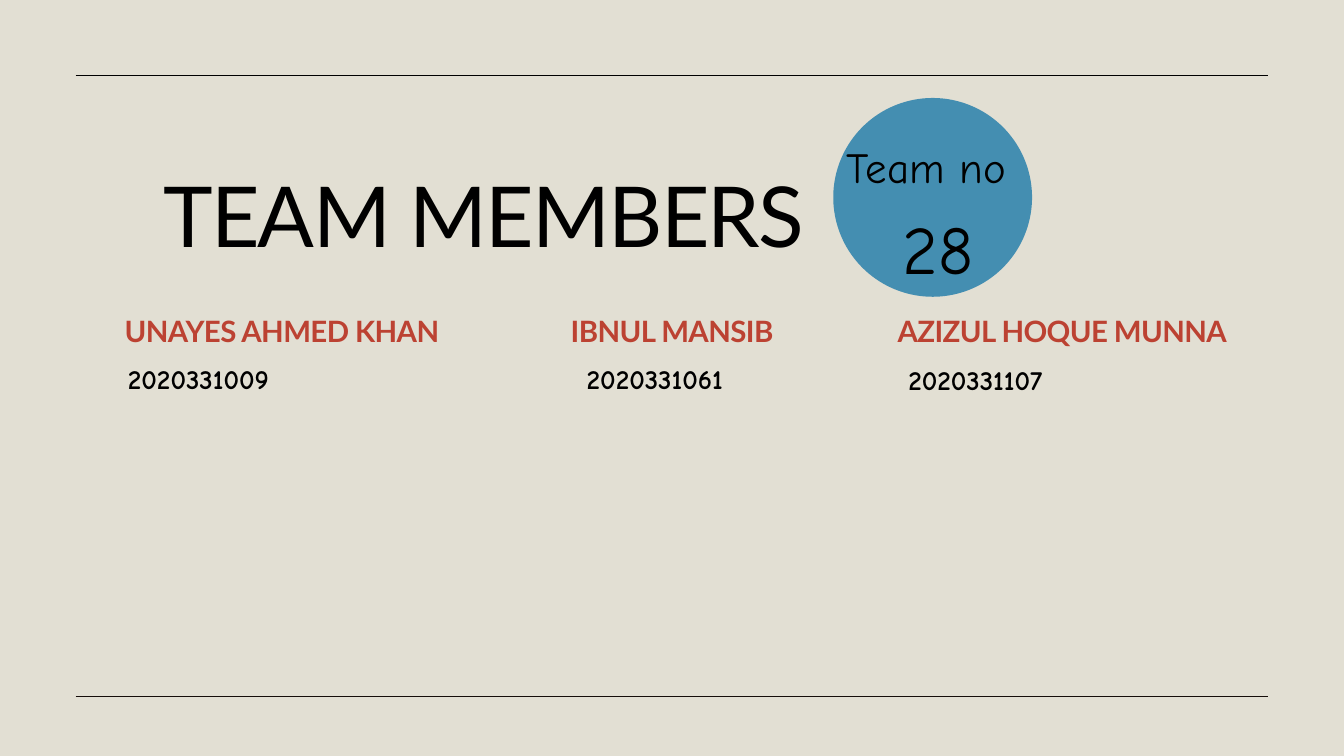
from pptx import Presentation
from pptx.dml.color import RGBColor
from pptx.enum import shapes, text
from pptx.oxml import ns
from pptx.util import Pt
from lxml import etree

SAND = RGBColor(0xE2, 0xDF, 0xD3)
BLACK = RGBColor(0, 0, 0)
BROWN = RGBColor(0x15, 0x0D, 0x0A)
BLUE = RGBColor(0x44, 0x8E, 0xB1)
RED = RGBColor(0xBC, 0x42, 0x32)
WIDE, HIGH, EDGE = 1440, 810, 81

deck = Presentation()
deck.slide_width, deck.slide_height = Pt(WIDE), Pt(HIGH)
slide = deck.slides.add_slide(deck.slide_layouts[6])
slide.background.fill.solid()
slide.background.fill.fore_color.rgb = SAND


def add_text(left, top, width, height, lines, face, color, bold=False, track=0):
    """Add centred lines, each (words, size, leading); track is letter spacing."""
    box = slide.shapes.add_textbox(Pt(left), Pt(top), Pt(width), Pt(height))
    frame = box.text_frame
    frame.word_wrap = True
    frame.auto_size = text.MSO_AUTO_SIZE.SHAPE_TO_FIT_TEXT
    frame.margin_left = frame.margin_right = 0
    frame.margin_top = frame.margin_bottom = 0
    for i, (words, size, lead) in enumerate(lines):
        para = frame.add_paragraph() if i else frame.paragraphs[0]
        para.alignment = text.PP_ALIGN.CENTER
        para.line_spacing = Pt(lead)
        run = para.add_run()
        run.text = words
        font = run.font
        font.name, font.size, font.bold = face, Pt(size), bold
        font.color.rgb = color
        if track:
            run._r.get_or_add_rPr().set("spc", str(round(track * 100)))


# Rules at the bottom and top margins
for y, color in ((HIGH - 64, BROWN), (EDGE, BLACK)):
    rule = slide.shapes.add_connector(
        shapes.MSO_CONNECTOR.STRAIGHT, Pt(EDGE), Pt(y), Pt(WIDE - EDGE), Pt(y))
    rule.line.color.rgb = color
    rule.line.width = Pt(1.5)
    etree.SubElement(rule._element.spPr, ns.qn("a:effectLst"))

badge = slide.shapes.add_shape(
    shapes.MSO_SHAPE.OVAL, Pt(892.8), Pt(105), Pt(213), Pt(213))
badge.shadow.inherit = False
badge.fill.solid()
badge.fill.fore_color.rgb = BLUE
badge.line.fill.background()

add_text(EDGE, 157.7, 874.8, 123, [("TEAM MEMBERS", 90, 126)],
         "Lato", BLACK, track=-1.8)

# Each member: name, number, left and top of the number
team = (
    ("UNAYES AHMED KHAN", "2020331009", 123.8, 382.3),
    ("IBNUL MANSIB", "2020331061", 612.7, 382.3),
    ("AZIZUL HOQUE MUNNA", "2020331107", 956.2, 383.8),
)
for i, (name, number, left, top) in enumerate(team):
    add_text(110.9 + 418 * i, 329, 382.3, 43.2, [(name, 31.5, 44.1)],
             "Lato", RED, True, -0.6)
    add_text(left, top, 177.8, 38.2, [(number, 29.1, 40.7)],
             "Comic Neue", BLACK, True)

add_text(879.1, 141.8, 226.8, 160.6,
         [("Team no", 46, 64.4), (" 28", 73, 102.2)], "Comic Neue", BLACK)

deck.save("out.pptx")
